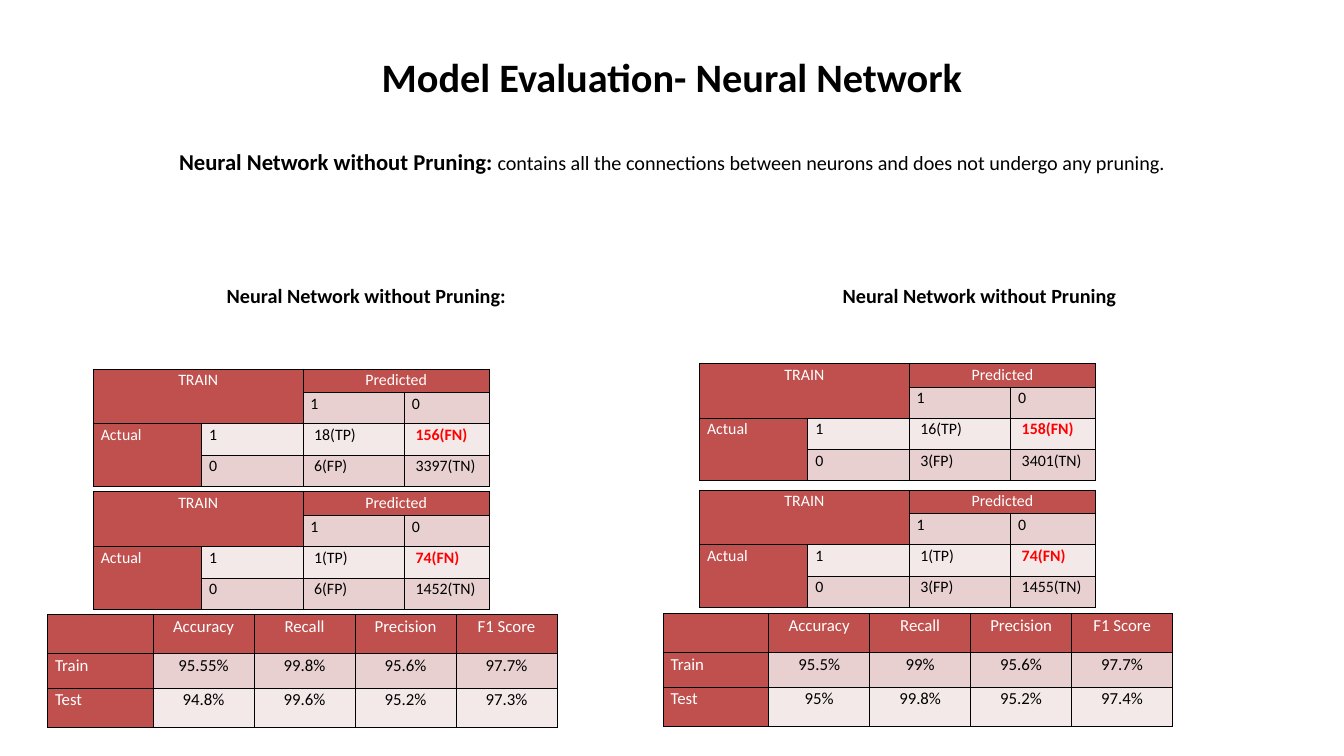
from lxml import etree
from pptx import Presentation
from pptx.dml.color import RGBColor
from pptx.enum.text import PP_ALIGN
from pptx.oxml.ns import qn
from pptx.util import Pt

LEFT, CENTER = PP_ALIGN.LEFT, PP_ALIGN.CENTER
FONT = "Calibri"
RED, BAND, PALE = "C0504D", "E8D0D0", "F4E9E9"
BLACK, WHITE, ALERT = "000000", "FFFFFF", "FF0000"


def rgb(value):
    """Turn a hex string into a colour."""
    return RGBColor.from_string(value)


def set_font(font, size, color, bold=False):
    """Set the typeface, size, colour and weight of a font."""
    font.name, font.size, font.bold = FONT, Pt(size), bold
    font.color.rgb = rgb(color)


def add_line(s, center, top, width, runs):
    """Add one centred line made of (text, size, bold) runs."""
    height = 1.25 * max(size for _, size, _ in runs)
    box = s.shapes.add_textbox(Pt(center - width / 2), Pt(top), Pt(width), Pt(height))
    tf = box.text_frame
    tf.word_wrap = True
    tf.margin_left = tf.margin_right = tf.margin_top = tf.margin_bottom = 0
    p = tf.paragraphs[0]
    p.alignment = CENTER
    for text, size, bold in runs:
        r = p.add_run()
        r.text = text
        set_font(r.font, size, BLACK, bold)


def add_borders(cell):
    """Draw a thin black line on each side of a cell."""
    tc_pr = cell._tc.get_or_add_tcPr()
    for side in ("a:lnL", "a:lnR", "a:lnT", "a:lnB"):
        ln = etree.SubElement(tc_pr, qn(side), w=str(Pt(1)))
        fill = etree.SubElement(ln, qn("a:solidFill"))
        etree.SubElement(fill, qn("a:srgbClr"), val=BLACK)


def fill_cell(cell, text, size, fill, color, align, bold=False):
    """Write and style one table cell."""
    cell.margin_left = cell.margin_right = Pt(8)
    cell.margin_top = cell.margin_bottom = 0
    add_borders(cell)
    cell.fill.solid()
    cell.fill.fore_color.rgb = rgb(fill)
    p = cell.text_frame.paragraphs[0]
    p.text = text
    p.alignment, p.line_spacing, p.space_after = align, 1.07, Pt(8)
    set_font(p.font, size, color, bold)


def add_grid(s, left, top, widths, heights):
    """Add an unstyled table with the given column widths and row heights."""
    frame = s.shapes.add_table(len(heights), len(widths), Pt(left), Pt(top),
                               Pt(sum(widths)), Pt(sum(heights)))
    table = frame.table
    for column, width in zip(table.columns, widths):
        column.width = Pt(width)
    for row, height in zip(table.rows, heights):
        row.height = Pt(height)
    return table


def add_confusion(s, left, top, tp, fn, fp, tn):
    """Add a confusion matrix with merged headings."""
    table = add_grid(s, left, top, [116, 108.7, 108.7, 91], [25.5, 33.4, 33.4, 33.4])
    rows = [
        ["TRAIN", "", "Predicted", ""],
        ["", "", "1", "0"],
        ["Actual", "1", f" {tp}(TP)", f" {fn}(FN)"],
        ["", "0", f" {fp}(FP)", f" {tn}(TN)"],
    ]
    for i, row in enumerate(rows):
        for j, text in enumerate(row):
            heading = i == 0 or j == 0 or (i, j) == (1, 1)
            missed = (i, j) == (2, 3)
            fill = RED if heading else BAND if i % 2 else PALE
            color = WHITE if heading else ALERT if missed else BLACK
            fill_cell(table.cell(i, j), text, 17, fill, color,
                      LEFT if i else CENTER, missed)
    for start, end in [((0, 0), (1, 1)), ((0, 2), (0, 3)), ((2, 0), (3, 0))]:
        table.cell(*start).merge(table.cell(*end))


def add_scores(s, left, top, train, test):
    """Add the table of train and test scores."""
    table = add_grid(s, left, top, [113] + [108.2] * 4, [41.8, 37, 41.8])
    rows = [["", "Accuracy", "Recall", "Precision", "F1 Score"],
            ["Train", *train], ["Test", *test]]
    for i, row in enumerate(rows):
        for j, text in enumerate(row):
            heading = i == 0 or j == 0
            fill = RED if heading else BAND if i % 2 else PALE
            fill_cell(table.cell(i, j), text, 18, fill,
                      WHITE if heading else BLACK, CENTER if j else LEFT)


def main():
    """Build the slide and save it."""
    prs = Presentation()
    prs.slide_width, prs.slide_height = Pt(1440), Pt(810)
    s = prs.slides.add_slide(prs.slide_layouts[6])

    add_line(s, 720, 56, 1242, [("Model Evaluation- Neural Network", 43.2, True)])
    add_line(s, 720, 158, 1242, [
        ("Neural Network without Pruning: ", 24.3, True),
        ("contains all the connections between neurons and does not undergo any pruning.",
         21.6, False)])
    add_line(s, 392.5, 304, 400, [("Neural Network without Pruning:", 21.6, True)])
    add_line(s, 1049.5, 304, 400, [("Neural Network without Pruning", 21.6, True)])

    add_confusion(s, 100, 395.3, 18, 156, 6, 3397)
    add_confusion(s, 100, 527, 1, 74, 6, 1452)
    add_scores(s, 51, 658.8, ["95.55%", "99.8%", "95.6%", "97.7%"],
               ["94.8%", "99.6%", "95.2%", "97.3%"])

    add_confusion(s, 749.5, 389.5, 16, 158, 3, 3401)
    add_confusion(s, 749.5, 524.9, 1, 74, 3, 1455)
    add_scores(s, 710.6, 657.4, ["95.5%", "99%", "95.6%", "97.7%"],
               ["95%", "99.8%", "95.2%", "97.4%"])

    prs.save("out.pptx")


if __name__ == "__main__":
    main()
